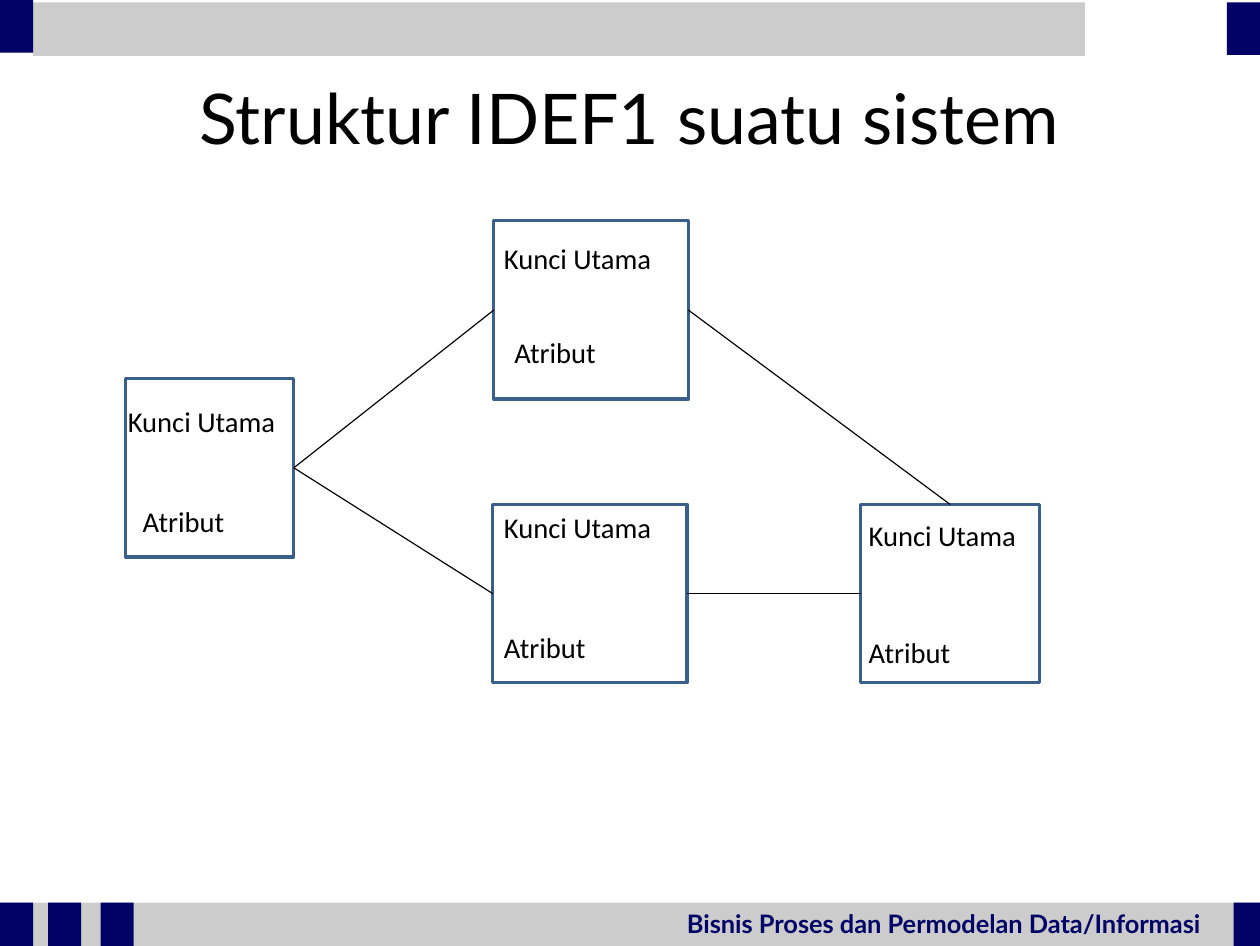
import pptx
import pptx.util
import pptx.dml.color
import pptx.enum.shapes
import pptx.enum.text
import pptx.oxml.ns
import lxml.etree

Inches = pptx.util.Inches
RGBColor = pptx.dml.color.RGBColor

NAVY = RGBColor(0x00, 0x00, 0x66)
GRAY = RGBColor(0xCC, 0xCC, 0xCC)
STEEL = RGBColor(0x3A, 0x5F, 0x8B)
BLACK = RGBColor(0x00, 0x00, 0x00)
WIDTH, HEIGHT = 11.02, 8.27
TOP, RIGHT, LEFT = 0, 3, 1


def add_box(page, left, top, width, height, fill=None, line=None):
    """Add a rectangle with an optional fill and outline."""
    box = page.shapes.add_shape(
        pptx.enum.shapes.MSO_SHAPE.RECTANGLE,
        Inches(left), Inches(top), Inches(width), Inches(height))
    box.shadow.inherit = False
    if fill is None:
        box.fill.background()
    else:
        box.fill.solid()
        box.fill.fore_color.rgb = fill
    if line is None:
        box.line.fill.background()
    else:
        box.line.color.rgb = line
        box.line.width = pptx.util.Pt(2)
    return box


def format_text(frame, size, font, color, bold=False):
    """Format every run in a text frame."""
    for para in frame.paragraphs:
        for span in para.runs:
            span.font.size = pptx.util.Pt(size)
            span.font.name = font
            span.font.color.rgb = color
            span.font.bold = bold


def add_label(page, text, left, top, width, height, size, font, color, bold=False):
    """Add a wrapped text box holding one line."""
    label = page.shapes.add_textbox(
        Inches(left), Inches(top), Inches(width), Inches(height))
    label.text_frame.word_wrap = True
    label.text_frame.text = text
    format_text(label.text_frame, size, font, color, bold)


def add_header(page, top, height):
    """Draw the top band with a navy block at each end."""
    block = 0.29
    add_box(page, block, top + 0.02, 9.2, height, GRAY)
    add_box(page, WIDTH - block, top + 0.02, block, 0.46, NAVY)
    add_box(page, 0, top, block, 0.46, NAVY)


def add_footer(page, top, height):
    """Draw the bottom band with its navy blocks and course name."""
    add_box(page, 0, top, WIDTH, height, GRAY)
    add_label(page, "Bisnis Proses dan Permodelan Data/Informasi",
              5.91, top, 4.72, 0.36, 16, "Lato", NAVY, True)
    for left, width in ((0, 0.29), (0.42, 0.29), (0.88, 0.29), (10.79, 0.23)):
        add_box(page, left, top, width, height, NAVY)


def add_title(page, left, top, width, height):
    """Place and format the title placeholder."""
    title = page.shapes.title
    title.left, title.top = Inches(left), Inches(top)
    title.width, title.height = Inches(width), Inches(height)
    frame = title.text_frame
    frame.text = "Struktur IDEF1 suatu sistem"
    frame.vertical_anchor = pptx.enum.text.MSO_ANCHOR.MIDDLE
    frame.paragraphs[0].alignment = pptx.enum.text.PP_ALIGN.CENTER
    format_text(frame, 44, "Lato", BLACK)


def add_entity(page, left, top, width, key_offset, attribute_offset):
    """Draw an entity with its key and attribute at offsets from its corner."""
    entity = add_box(page, left, top, width, 1.56, line=STEEL)
    for text, (across, down), label_width in (
            ("Kunci Utama", key_offset, 1.7), ("Atribut", attribute_offset, 1.1)):
        add_label(page, text, left + across, top + down, label_width, 0.4,
                  18, "Calibri", BLACK)
    return entity


def add_relation(page, start, start_site, end, end_site):
    """Join two entities with a thin straight line."""
    relation = page.shapes.add_connector(
        pptx.enum.shapes.MSO_CONNECTOR.STRAIGHT, 0, 0, 0, 0)
    relation.begin_connect(start, start_site)
    relation.end_connect(end, end_site)
    relation.line.color.rgb = BLACK
    relation.line.width = pptx.util.Pt(0.75)
    properties = relation.element.find(pptx.oxml.ns.qn("p:spPr"))
    lxml.etree.SubElement(properties, pptx.oxml.ns.qn("a:effectLst"))


def add_diagram(page, left, top):
    """Draw the four related entities from the given corner."""
    lower = top + 2.48
    source = add_entity(page, left, top + 1.38, 1.47, (-0.08, 0.17), (0.05, 1.05))
    upper_middle = add_entity(page, left + 3.22, top, 1.7, (-0.01, 0.13), (0.08, 0.95))
    lower_middle = add_entity(page, left + 3.21, lower, 1.7, (0, 0), (0, 1.05))
    target = add_entity(page, left + 6.43, lower, 1.56, (-0.03, 0.07), (-0.03, 1.09))
    add_relation(page, source, RIGHT, upper_middle, LEFT)
    add_relation(page, source, RIGHT, lower_middle, LEFT)
    add_relation(page, lower_middle, RIGHT, target, LEFT)
    add_relation(page, upper_middle, RIGHT, target, TOP)


def main():
    """Build and save the slide."""
    deck = pptx.Presentation()
    deck.slide_width, deck.slide_height = Inches(WIDTH), Inches(HEIGHT)
    page = deck.slides.add_slide(deck.slide_layouts[5])
    add_footer(page, 7.89, 0.38)
    add_header(page, 0, 0.47)
    add_title(page, 0.55, 0.33, 9.92, 1.38)
    add_diagram(page, 1.1, 1.93)
    deck.save("out.pptx")


if __name__ == "__main__":
    main()
